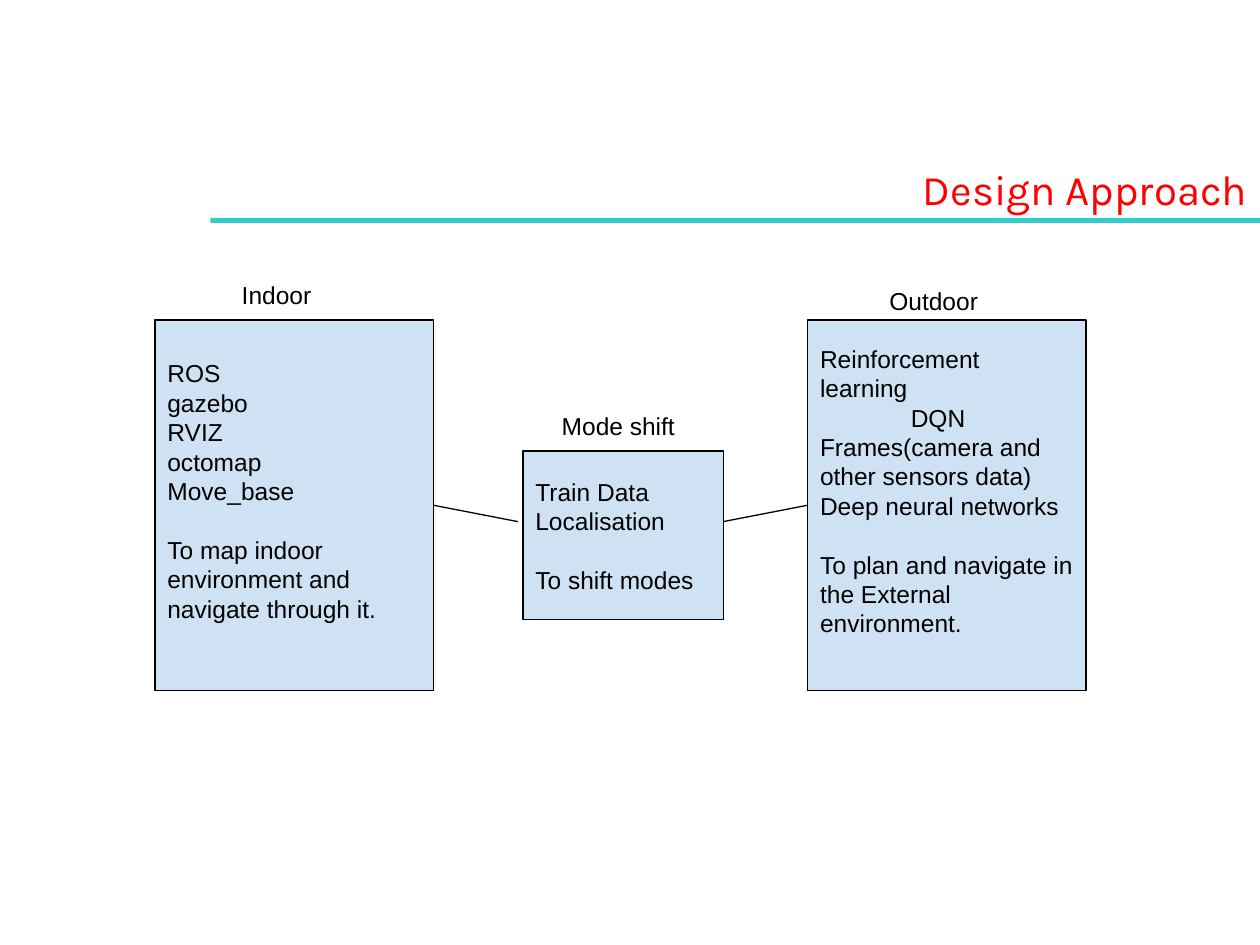
from pptx import Presentation
from pptx.dml import color
from pptx.enum import shapes, text
from pptx.oxml import ns
from pptx import util as u
from lxml import etree

LINE_GAP = 16.8
BOX_TOP, BOX_WIDTH, BOX_HEIGHT = 2.54, 2.21, 2.94


def rgb(value):
    return color.RGBColor.from_string(value)


def place(shape, left, top, width, height):
    shape.left, shape.top = u.Inches(left), u.Inches(top)
    shape.width, shape.height = u.Inches(width), u.Inches(height)


def set_insets(frame, left_right, top, bottom):
    frame.margin_left = frame.margin_right = u.Inches(left_right)
    frame.margin_top, frame.margin_bottom = u.Inches(top), u.Inches(bottom)


def format_paragraph(paragraph, size=14, name="Arial", value="000000"):
    paragraph.font.size = u.Pt(size)
    paragraph.font.name = name
    paragraph.font.color.rgb = rgb(value)


def set_first_indent(paragraph, indent):
    properties = paragraph._p.get_or_add_pPr()
    properties.set("marL", "0")
    properties.set("indent", str(u.Inches(indent)))


def set_title(slide, words):
    title = slide.shapes.title
    place(title, 2.92, 1.25, 7.08, 0.5)
    frame = title.text_frame
    frame.text = words
    frame.vertical_anchor = text.MSO_ANCHOR.TOP
    frame.auto_size = text.MSO_AUTO_SIZE.NONE
    set_insets(frame, 0.1, 0.05, 0.05)
    paragraph = frame.paragraphs[0]
    paragraph.alignment = text.PP_ALIGN.RIGHT
    format_paragraph(paragraph, 24, "Karla", "FF0000")


def add_rectangle(slide, left, top, width, height, fill, outline=None):
    shape = slide.shapes.add_shape(
        shapes.MSO_SHAPE.RECTANGLE,
        u.Inches(left), u.Inches(top), u.Inches(width), u.Inches(height))
    shape.shadow.inherit = False
    shape.fill.solid()
    shape.fill.fore_color.rgb = rgb(fill)
    if outline:
        shape.line.color.rgb = rgb(outline)
        shape.line.width = u.Pt(0.75)
    else:
        shape.line.fill.background()
    return shape


def add_box(slide, bounds, items, purpose, bottom_inset=0.1, indents={}):
    box = add_rectangle(slide, *bounds, "CFE2F3", "000000")
    frame = box.text_frame
    frame.word_wrap = True
    frame.vertical_anchor = text.MSO_ANCHOR.MIDDLE
    set_insets(frame, 0.1, 0.1, bottom_inset)
    frame.text = "\n".join([*items, purpose])
    for paragraph in frame.paragraphs:
        paragraph.alignment = text.PP_ALIGN.LEFT
        format_paragraph(paragraph)
        if paragraph.text in indents:
            set_first_indent(paragraph, indents[paragraph.text])
    frame.paragraphs[-1].space_before = u.Pt(LINE_GAP)
    return box


def add_label(slide, words, left, top, width, height, indent=0):
    label = slide.shapes.add_textbox(
        u.Inches(left), u.Inches(top), u.Inches(width), u.Inches(height))
    frame = label.text_frame
    frame.word_wrap = True
    set_insets(frame, 0.1, 0.1, 0.1)
    frame.text = words
    format_paragraph(frame.paragraphs[0])
    set_first_indent(frame.paragraphs[0], indent)


def add_line(slide, start, end):
    line = slide.shapes.add_connector(
        shapes.MSO_CONNECTOR.STRAIGHT,
        *(u.Inches(length) for length in (*start, *end)))
    line.line.color.rgb = rgb("000000")
    line.line.width = u.Pt(0.75)
    etree.SubElement(line._element.spPr, ns.qn("a:effectLst"))
    return line


def main():
    presentation = Presentation()
    presentation.slide_width = u.Inches(10)
    presentation.slide_height = u.Inches(7.5)
    slide = presentation.slides.add_slide(presentation.slide_layouts[5])

    add_rectangle(slide, 1.67, 1.73, 8.33, 0.04, "33CCCC")
    set_title(slide, "Design Approach")

    indoor = add_box(
        slide, (1.23, BOX_TOP, BOX_WIDTH, BOX_HEIGHT),
        ["ROS", "gazebo", "RVIZ", "octomap", "Move_base"],
        "To map indoor environment and navigate through it.",
        bottom_inset=0.33)
    outdoor = add_box(
        slide, (6.41, BOX_TOP, BOX_WIDTH, BOX_HEIGHT),
        ["Reinforcement learning", "DQN",
         "Frames(camera and other sensors data)", "Deep neural networks"],
        "To plan and navigate in the External environment.",
        bottom_inset=0.33, indents={"DQN": 0.72})
    add_box(slide, (4.15, 3.58, 1.59, 1.34),
            ["Train Data", "Localisation"], "To shift modes")

    add_label(slide, "Indoor", 1.28, 2.12, 1.85, 0.34, indent=0.54)
    add_label(slide, "Outdoor", 6.69, 2.17, 1.63, 0.25, indent=0.27)
    add_label(slide, "Mode shift", 4.36, 3.16, 1.17, 0.25)

    add_line(slide, (3.44, 4.01), (4.11, 4.14)).begin_connect(indoor, 3)
    add_line(slide, (5.74, 4.14), (6.41, 4.01)).end_connect(outdoor, 1)

    presentation.save("out.pptx")


if __name__ == "__main__":
    main()
